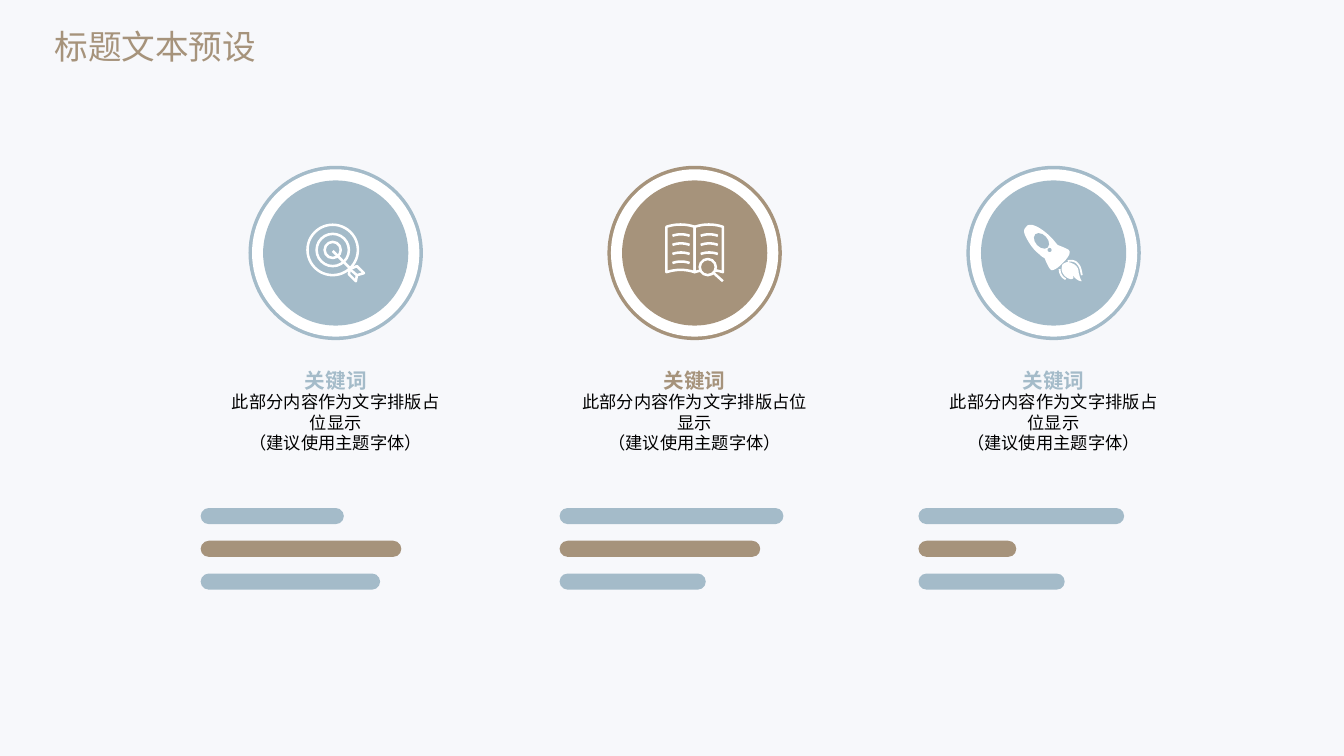
from copy import deepcopy
from lxml.etree import SubElement
from pptx import Presentation
from pptx.dml.color import RGBColor
from pptx.enum.shapes import MSO_CONNECTOR, MSO_SHAPE
from pptx.enum.text import MSO_ANCHOR, PP_ALIGN
from pptx.oxml.ns import qn
from pptx.util import Inches, Pt

HEX = {"back": "F7F8FB", "blue": "A4BBC9", "tan": "A6937B",
       "white": "FFFFFF", "black": "000000"}
FACE = "Noto Sans CJK SC"

# Column grid: middle centre and pitch; rows: disc, word, note, bars
MIDDLE, PITCH = 6.89, 3.56
DISC, WORD, NOTE, BARS = 2.51, 3.77, 4.19, 5.04
BAR_H, BAR_STEP, BAR_DX = 0.16, 0.65 / 2, -1.34

# Icon outlines as cubic chains, measured from the disc centre
HULL = [(-.23, -.28), (-.18, -.28), (-.10, -.23), (-.02, -.15),
        (0, -.13), (.02, -.10), (.04, -.08), (.09, -.06), (.14, -.04), (.15, -.03),
        (.18, 0), (.13, .06), (.09, .10), (.04, .15), (.01, .17), (-.02, .17),
        (-.03, .17), (-.05, .15), (-.09, .05), (-.12, .04), (-.14, .01), (-.17, -.01),
        (-.22, -.06), (-.25, -.11), (-.27, -.15), (-.30, -.20), (-.30, -.24),
        (-.27, -.26), (-.27, -.27), (-.25, -.28), (-.23, -.28)]
FLAME = [(.14, .09), (.16, .09), (.18, .10), (.20, .11), (.24, .13), (.25, .17),
         (.25, .20), (.26, .23), (.26, .25), (.28, .28), (.25, .28), (.22, .26),
         (.19, .22), (.19, .24), (.21, .25), (.18, .26), (.14, .26), (.09, .22),
         (.08, .17), (.08, .15), (.08, .13), (.09, .11), (.11, .10), (.12, .09),
         (.14, .09)]
WISPS = [[(.14, .08), (.18, .07), (.22, .08), (.24, .11),
          (.27, .14), (.27, .18), (.28, .22)],
         [(.06, .16), (.06, .20), (.08, .24), (.12, .26)]]
FEATHER = [(.14, .16), (.21, .13), (.28, .20), (.21, .22), (.20, .28), (.13, .21)]


def color(name):
    return RGBColor.from_string(HEX[name])


def paint(shape, fill=None, line=None, width=1.8):
    shape.shadow.inherit = False
    if fill:
        shape.fill.solid()
        shape.fill.fore_color.rgb = color(fill)
    else:
        shape.fill.background()
    if line:
        shape.line.color.rgb = color(line)
        shape.line.width = Pt(width)
    else:
        shape.line.fill.background()


def oval(group, x, y, rx, ry=None, **style):
    ry = ry or rx
    shape = group.shapes.add_shape(MSO_SHAPE.OVAL, Inches(x - rx), Inches(y - ry),
                                   Inches(2 * rx), Inches(2 * ry))
    paint(shape, **style)
    return shape


def trace(group, mid, points, closed=True, **style):
    spots = [(Inches(mid + x), Inches(DISC + y)) for x, y in points]
    pen = group.shapes.build_freeform(*spots[0])
    pen.add_line_segments(spots[1:], close=closed)
    paint(pen.convert_to_shape(), **style)


def stroke(group, mid, start, end):
    ends = [Inches(v) for x, y in (start, end) for v in (mid + x, DISC + y)]
    line = group.shapes.add_connector(MSO_CONNECTOR.STRAIGHT, *ends)
    line.line.color.rgb = color("white")
    line.line.width = Pt(1.8)
    SubElement(line._element.spPr, qn("a:effectLst"))


def bend(chain, steps=8):
    points = [chain[0]]
    for i in range(0, len(chain) - 1, 3):
        for k in range(1, steps + 1):
            t = k / steps
            parts = ((1 - t) ** 3, 3 * t * (1 - t) ** 2, 3 * t * t * (1 - t), t ** 3)
            knots = chain[i:i + 4]
            points.append(tuple(sum(w * p[axis] for w, p in zip(parts, knots))
                                for axis in (0, 1)))
    return points


def arch(left, right, y, rise=.03):
    third = (right - left) / 3
    return bend([(left, y), (left + third, y - rise),
                 (right - third, y - rise), (right, y)])


# Icons
def target(group, mid, tone):
    for r in (.25, .16, .08):
        oval(group, mid - .03, DISC - .03, r, line="white")
    stroke(group, mid, (-.03, -.02), (.21, .22))
    trace(group, mid, FEATHER, fill=tone, line="white")
    stroke(group, mid, (.14, .16), (.21, .22))


def book(group, mid, tone):
    for left, rows in ((-.28, 4), (0, 3)):
        page = arch(left, left + .28, -.26) + arch(left, left + .28, .19)[::-1]
        trace(group, mid, page, line="white")
        for row in range(rows):
            trace(group, mid, arch(left + .06, left + .23, -.17 + .09 * row, .02),
                  closed=False, line="white")
    oval(group, mid + .13, DISC + .14, .08, fill=tone, line="white")
    stroke(group, mid, (.19, .20), (.28, .28))


def rocket(group, mid, tone):
    trace(group, mid, bend(HULL), fill="white")
    oval(group, mid - .12, DISC - .12, .06, .09, fill=tone).rotation = -43
    oval(group, mid - .04, DISC - .03, .02, fill=tone)
    trace(group, mid, bend(FLAME), fill="white")
    for wisp in WISPS:
        trace(group, mid, bend(wisp), closed=False, line="white", width=1.3)


# Text
def style(frame, size, tone, face, align, bold=False):
    for para in frame.paragraphs:
        para.alignment = align
        for run in para.runs:
            font = run.font
            font.size, font.bold, font.name = Pt(size), bold, face
            font.color.rgb = color(tone)
            SubElement(run._r.get_or_add_rPr(), qn("a:ea"), typeface=FACE)
        # Line breaks take the format of the text
        for gap in para._p.findall(qn("a:br")):
            gap.insert(0, deepcopy(para.runs[0]._r.rPr))


def label(group, mid, y, width, text, size, tone, bold=False, wrap=True):
    high = 0.62
    box = group.shapes.add_textbox(Inches(mid - width / 2), Inches(y - high / 2),
                                   Inches(width), Inches(high))
    frame = box.text_frame
    frame.margin_left = frame.margin_right = frame.margin_top = frame.margin_bottom = 0
    frame.word_wrap = wrap
    frame.vertical_anchor = MSO_ANCHOR.MIDDLE
    frame.text = text
    style(frame, size, tone, "Calibri", PP_ALIGN.CENTER, bold)


def heading(slide, text):
    title = slide.shapes.title
    title.left, title.top = Inches(0.43), Inches(0.21)
    title.width, title.height = Inches(2.21), Inches(0.71)
    frame = title.text_frame
    frame.word_wrap = False
    frame.vertical_anchor = MSO_ANCHOR.TOP
    frame.text = text
    style(frame, 24, "tan", FACE, PP_ALIGN.RIGHT)


def backdrop(deck, slide):
    sheet = slide.shapes.add_shape(MSO_SHAPE.RECTANGLE, 0, 0,
                                   deck.slide_width, deck.slide_height)
    paint(sheet, fill="back")
    slide.shapes._spTree.insert(2, sheet._element)


def column(slide, index, tone, icon, note_w, bars):
    mid = MIDDLE + PITCH * (index - 1)
    group = slide.shapes.add_group_shape()
    for size, fill in ((1.73, tone), (1.66, "white"), (1.44, tone)):
        oval(group, mid, DISC, size / 2, fill=fill)
    icon(group, mid, tone)
    label(group, mid, WORD, 1.83, "关键词", 14.7, tone, bold=True, wrap=False)
    label(group, mid, NOTE, note_w,
          "此部分内容作为文字排版占位显示\v（建议使用主题字体）", 12.3, "black")
    for row, (width, fill) in enumerate(zip(bars, ("blue", "tan", "blue"))):
        bar = group.shapes.add_shape(
            MSO_SHAPE.ROUNDED_RECTANGLE, Inches(mid + BAR_DX),
            Inches(BARS + BAR_STEP * row), Inches(width), Inches(BAR_H))
        bar.adjustments[0] = 0.5
        paint(bar, fill=fill)


def main():
    deck = Presentation()
    deck.slide_width, deck.slide_height = Inches(13.33), Inches(7.5)
    slide = deck.slides.add_slide(deck.slide_layouts[5])
    backdrop(deck, slide)
    heading(slide, "标题文本预设")
    column(slide, 0, "blue", target, 2.21, (1.42, 1.99, 1.78))
    column(slide, 1, "tan", book, 2.25, (2.22, 1.99, 1.45))
    column(slide, 2, "blue", rocket, 2.1, (2.04, 0.97, 1.45))
    deck.save("out.pptx")


if __name__ == "__main__":
    main()
